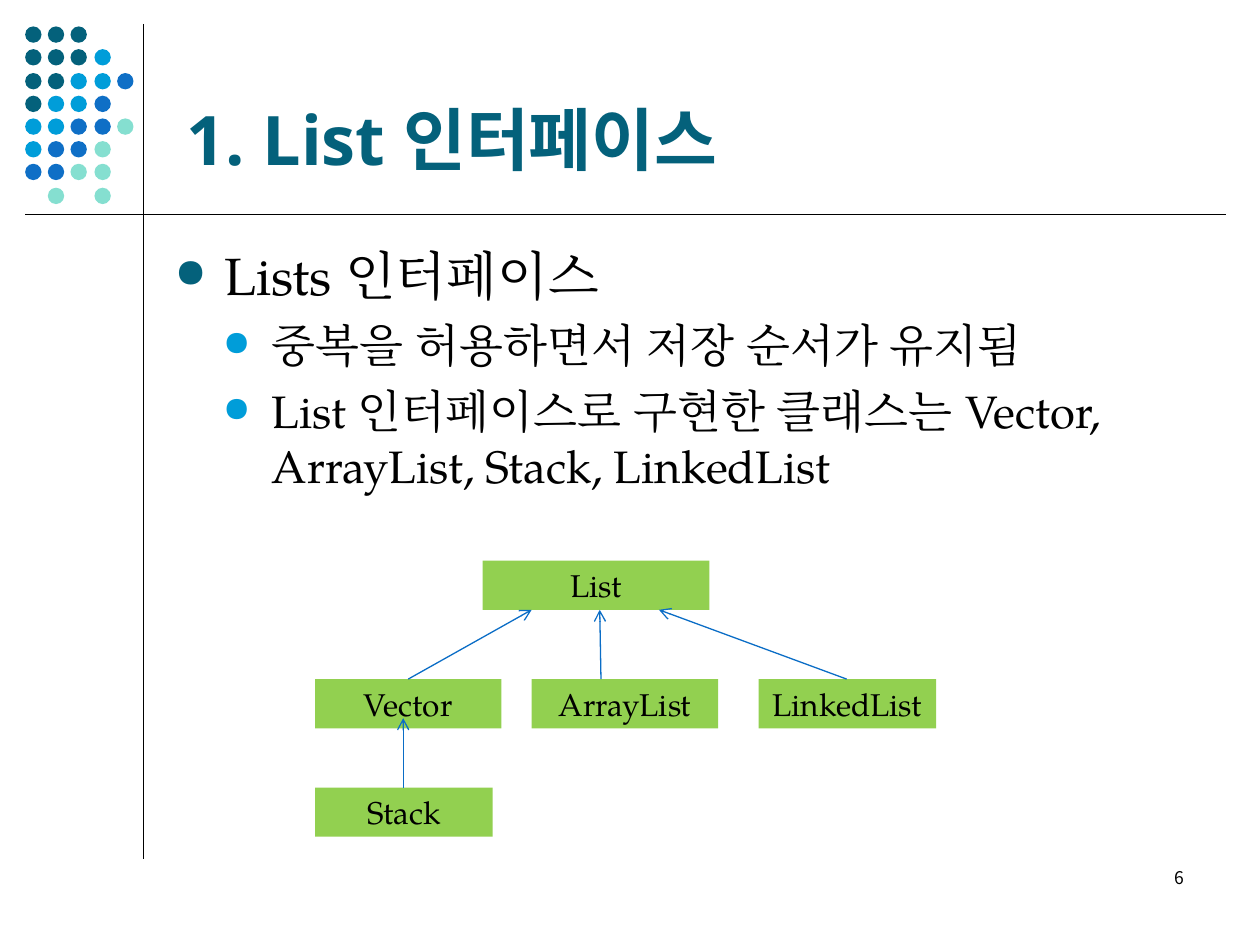
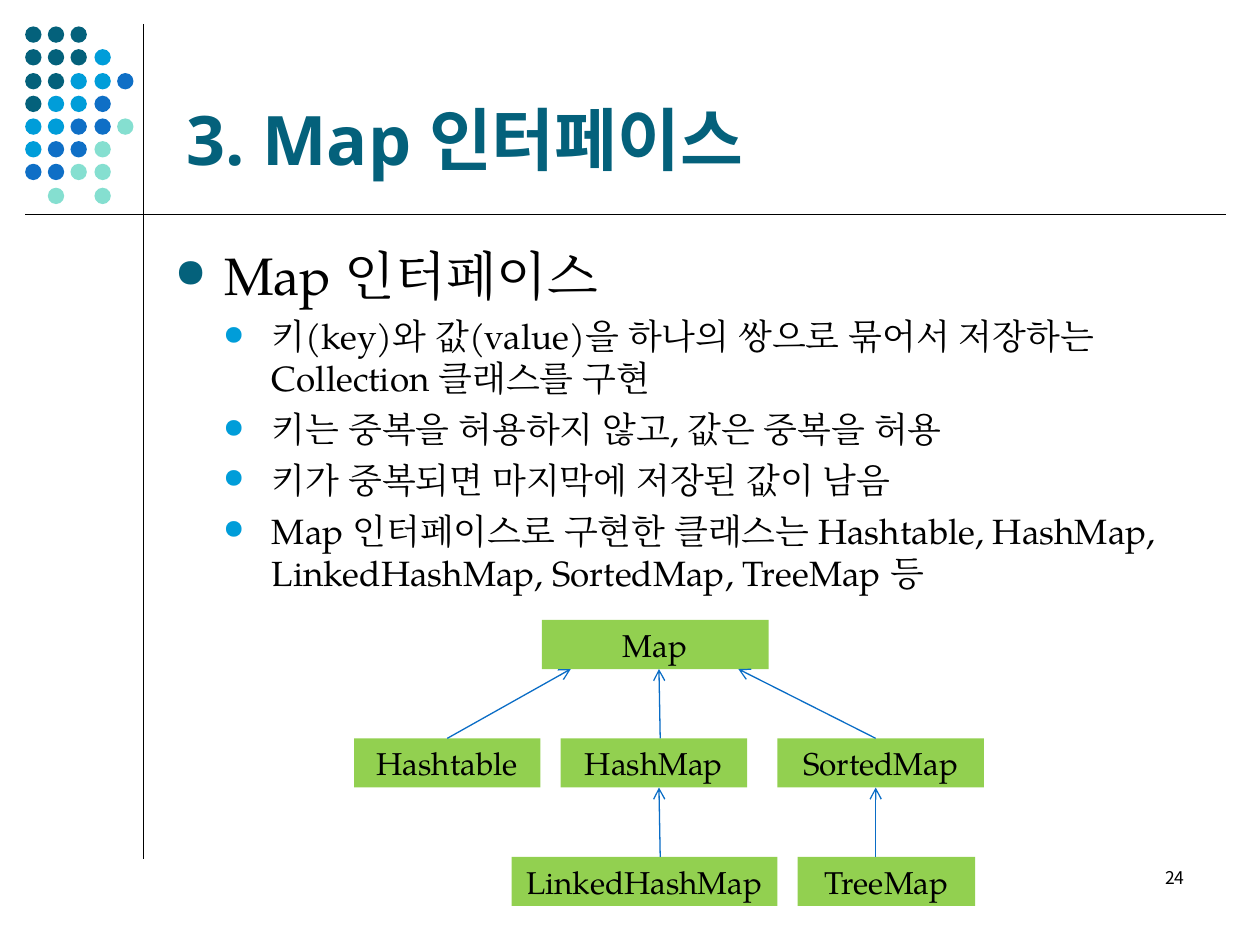
from dataclasses import dataclass
from typing import NamedTuple

from lxml.etree import SubElement
from pptx import Presentation
from pptx.dml.color import RGBColor
from pptx.enum.shapes import MSO_CONNECTOR, MSO_SHAPE
from pptx.enum.text import MSO_ANCHOR, PP_ALIGN
from pptx.oxml.ns import qn
from pptx.util import Emu, Pt

PIXEL = 9144
TITLE_ONLY = 5

BLACK = RGBColor(0x00, 0x00, 0x00)
TEAL = RGBColor(0x04, 0x61, 0x7B)
SKY = RGBColor(0x00, 0x9D, 0xD9)
BLUE = RGBColor(0x0F, 0x6F, 0xC6)
MINT = RGBColor(0x85, 0xDF, 0xD0)
GREEN = RGBColor(0x92, 0xD0, 0x50)
ARROW_BLUE = RGBColor(0x0A, 0x6D, 0xC6)

TITLE_FONT = "Open Sans"
BODY_FONT = "TeX Gyre Pagella"
NUMBER_FONT = "Noto Sans CJK KR"

DOT_COLORS = {"T": TEAL, "S": SKY, "B": BLUE, "M": MINT}
DOT_ROWS = ("TTT", "TTTS", "TTSSB", "TSSB", "SSBBM", "SBBM", "BBMM", " M M")
DOT_SIZE = 13
DOT_STEP = 18.25
BOX_HEIGHT = 39
BULLET_INDENT = 38


class Area(NamedTuple):
    left: int
    top: int
    width: int
    height: int


class ClassBox(NamedTuple):
    name: str
    left: int
    top: int
    width: int


class Line(NamedTuple):
    from_x: int
    from_y: int
    to_x: int
    to_y: int


class TextStyle(NamedTuple):
    font: str
    size: int
    color: RGBColor = BLACK
    bold: bool = False


@dataclass(frozen=True)
class InterfaceSlide:
    title: str
    heading: str
    points: tuple[str, ...]
    point_size: int
    point_spacing: float
    boxes: tuple[ClassBox, ...]
    arrows: tuple[Line, ...]
    number: int


TITLE_AREA = Area(138, 21, 825, 126)
BODY_AREA = Area(130, 188, 820, 482)
NUMBER_AREA = Area(717, 683, 233, 50)
RULES = (Line(114, 19, 114, 682), Line(20, 170, 973, 170))

TITLE_STYLE = TextStyle(TITLE_FONT, 39, TEAL, True)
HEADING_STYLE = TextStyle(BODY_FONT, 30)
BOX_STYLE = TextStyle(BODY_FONT, 18)
NUMBER_STYLE = TextStyle(NUMBER_FONT, 10)

SLIDES = (
    InterfaceSlide(
        title="1. List 인터페이스",
        heading="Lists 인터페이스",
        points=(
            "중복을 허용하면서 저장 순서가 유지됨",
            "List 인터페이스로 구현한 클래스는 Vector, ArrayList, Stack, LinkedList",
        ),
        point_size=26,
        point_spacing=6.5,
        boxes=(
            ClassBox("List", 383, 445, 180),
            ClassBox("Vector", 250, 539, 148),
            ClassBox("ArrayList", 422, 539, 148),
            ClassBox("LinkedList", 602, 539, 141),
            ClassBox("Stack", 250, 625, 141),
        ),
        arrows=(
            Line(324, 539, 422, 484),
            Line(477, 539, 476, 484),
            Line(672, 539, 523, 484),
            Line(320, 625, 320, 570),
        ),
        number=6,
    ),
    InterfaceSlide(
        title="3. Map 인터페이스",
        heading="Map 인터페이스",
        points=(
            "키(key)와 값(value)을 하나의 쌍으로 묶어서 저장하는 Collection 클래스를 구현",
            "키는 중복을 허용하지 않고, 값은 중복을 허용",
            "키가 중복되면 마지막에 저장된 값이 남음",
            "Map 인터페이스로 구현한 클래스는 Hashtable, HashMap, "
            "LinkedHashMap, SortedMap, TreeMap 등",
        ),
        point_size=20,
        point_spacing=5,
        boxes=(
            ClassBox("Map", 430, 492, 180),
            ClassBox("Hashtable", 281, 586, 148),
            ClassBox("HashMap", 445, 586, 148),
            ClassBox("SortedMap", 617, 586, 164),
            ClassBox("LinkedHashMap", 406, 680, 211),
            ClassBox("TreeMap", 633, 680, 141),
        ),
        arrows=(
            Line(355, 586, 453, 531),
            Line(524, 586, 523, 531),
            Line(695, 586, 586, 531),
            Line(524, 680, 523, 625),
            Line(695, 680, 695, 625),
        ),
        number=24,
    ),
)


def emu(*lengths: int) -> list[Emu]:
    return [Emu(length * PIXEL) for length in lengths]


def add_run(paragraph, text: str, style: TextStyle) -> None:
    run = paragraph.add_run()
    run.text = text
    run.font.name = style.font
    run.font.size = Pt(style.size)
    run.font.bold = style.bold
    run.font.color.rgb = style.color
    properties = run.font._element
    latin = properties.find(qn("a:latin"))
    east_asian = properties.makeelement(qn("a:ea"), {"typeface": style.font})
    latin.addnext(east_asian)


def add_filled_shape(slide, kind: MSO_SHAPE, area: Area, color: RGBColor):
    shape = slide.shapes.add_shape(kind, *emu(*area))
    shape.shadow.inherit = False
    shape.fill.solid()
    shape.fill.fore_color.rgb = color
    shape.line.fill.background()
    return shape


def add_line(slide, line: Line, color: RGBColor, arrow: bool = False) -> None:
    connector = slide.shapes.add_connector(MSO_CONNECTOR.STRAIGHT, *emu(*line))
    connector.line.color.rgb = color
    connector.line.width = Pt(0.75)
    if arrow:
        SubElement(connector.line._get_or_add_ln(), qn("a:tailEnd"), type="arrow")
    SubElement(connector._element.spPr, qn("a:effectLst"))


def add_decoration(slide) -> None:
    for row, pattern in enumerate(DOT_ROWS):
        for column, key in enumerate(pattern):
            if key in DOT_COLORS:
                left = round(20 + column * DOT_STEP)
                top = round(21 + row * DOT_STEP)
                area = Area(left, top, DOT_SIZE, DOT_SIZE)
                add_filled_shape(slide, MSO_SHAPE.OVAL, area, DOT_COLORS[key])
    for rule in RULES:
        add_line(slide, rule, BLACK)


def set_title(slide, text: str) -> None:
    title = slide.shapes.title
    title.left, title.top, title.width, title.height = emu(*TITLE_AREA)
    title.text_frame.vertical_anchor = MSO_ANCHOR.BOTTOM
    paragraph = title.text_frame.paragraphs[0]
    paragraph.alignment = PP_ALIGN.LEFT
    add_run(paragraph, text, TITLE_STYLE)


def add_text_frame(slide, area: Area):
    text_frame = slide.shapes.add_textbox(*emu(*area)).text_frame
    text_frame.word_wrap = True
    return text_frame


def add_bullet(paragraph, level: int, color: RGBColor, spacing: float) -> None:
    paragraph.level = level
    paragraph.space_before = Pt(spacing)
    properties = paragraph._element.get_or_add_pPr()
    indent, = emu(BULLET_INDENT)
    properties.set("marL", str(indent * (level + 1)))
    properties.set("indent", str(-indent))
    bullet_color = SubElement(properties, qn("a:buClr"))
    SubElement(bullet_color, qn("a:srgbClr"), val=str(color))
    SubElement(properties, qn("a:buSzPct"), val="70000")
    SubElement(properties, qn("a:buFont"), typeface=BODY_FONT)
    SubElement(properties, qn("a:buChar"), char="●")


def add_body(slide, content: InterfaceSlide) -> None:
    text_frame = add_text_frame(slide, BODY_AREA)
    heading = text_frame.paragraphs[0]
    add_bullet(heading, 0, TEAL, 7.5)
    add_run(heading, content.heading, HEADING_STYLE)
    for point in content.points:
        paragraph = text_frame.add_paragraph()
        add_bullet(paragraph, 1, SKY, content.point_spacing)
        add_run(paragraph, point, TextStyle(BODY_FONT, content.point_size))


def add_class_box(slide, box: ClassBox) -> None:
    area = Area(box.left, box.top, box.width, BOX_HEIGHT)
    shape = add_filled_shape(slide, MSO_SHAPE.RECTANGLE, area, GREEN)
    shape.text_frame.word_wrap = False
    shape.text_frame.vertical_anchor = MSO_ANCHOR.MIDDLE
    paragraph = shape.text_frame.paragraphs[0]
    paragraph.alignment = PP_ALIGN.CENTER
    add_run(paragraph, box.name, BOX_STYLE)


def add_slide_number(slide, number: int) -> None:
    paragraph = add_text_frame(slide, NUMBER_AREA).paragraphs[0]
    paragraph.alignment = PP_ALIGN.RIGHT
    add_run(paragraph, str(number), NUMBER_STYLE)


def add_interface_slide(presentation, content: InterfaceSlide) -> None:
    slide = presentation.slides.add_slide(presentation.slide_layouts[TITLE_ONLY])
    add_decoration(slide)
    set_title(slide, content.title)
    add_body(slide, content)
    add_slide_number(slide, content.number)
    for box in content.boxes:
        add_class_box(slide, box)
    for arrow in content.arrows:
        add_line(slide, arrow, ARROW_BLUE, arrow=True)


def main() -> None:
    presentation = Presentation()
    presentation.slide_width, presentation.slide_height = emu(1000, 750)
    for content in SLIDES:
        add_interface_slide(presentation, content)
    presentation.save("out.pptx")


if __name__ == "__main__":
    main()
